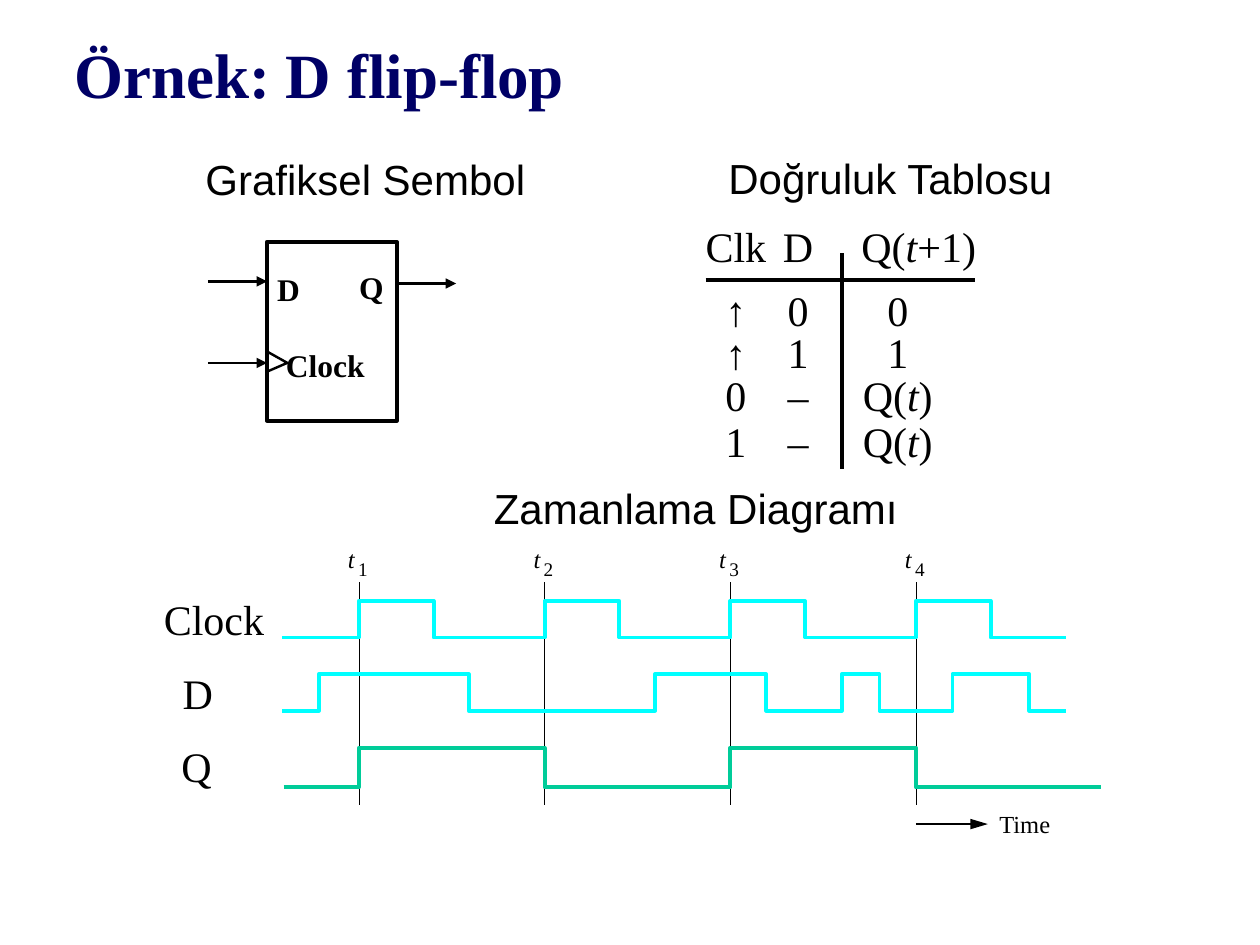
from dataclasses import dataclass

import pptx
import pptx.dml.color
import pptx.enum.shapes
import pptx.enum.text
import pptx.oxml.ns
import pptx.util
from lxml import etree

Pt = pptx.util.Pt
SERIF, SANS = "Times New Roman", "Arial"
COLORS = {"black": "000000", "white": "FFFFFF", "navy": "000066",
          "cyan": "00FFFF", "green": "00CC99"}


@dataclass
class Label:
    text: str
    x: float
    y: float
    w: float
    h: float = 28.8
    size: float = 24
    font: str = SERIF
    color: str = "black"
    bold: bool = False
    italic: str = ""


@dataclass
class Line:
    x1: float
    y1: float
    x2: float
    y2: float
    width: float = 1.5
    arrow: bool = False
    arrow_len: str = "med"


@dataclass
class Wave:
    start: float
    end: float
    low: float
    high: float
    edges: list[float]
    color: str


def rgb(name: str) -> pptx.dml.color.RGBColor:
    return pptx.dml.color.RGBColor.from_string(COLORS[name])


def add_text(p, text: str, *, size: float = 24, font: str = SERIF,
             color: str = "black", bold: bool = False, italic: str = "") -> None:
    """Write text into a paragraph; the part given as italic is slanted."""
    parts = text.partition(italic) if italic else (text,)
    for part in filter(None, parts):
        r = p.add_run()
        r.text = part
        r.font.size, r.font.name = Pt(size), font
        r.font.bold, r.font.italic = bold, part == italic
        r.font.color.rgb = rgb(color)


def draw_label(s, item: Label) -> None:
    sp = s.shapes.add_textbox(Pt(item.x), Pt(item.y), Pt(item.w), Pt(item.h))
    tf = sp.text_frame
    tf.word_wrap = False
    tf.margin_left = tf.margin_right = tf.margin_top = tf.margin_bottom = 0
    add_text(tf.paragraphs[0], item.text, size=item.size, font=item.font,
             color=item.color, bold=item.bold, italic=item.italic)


def draw_line(s, item: Line) -> None:
    sp = s.shapes.add_connector(
        pptx.enum.shapes.MSO_CONNECTOR.STRAIGHT,
        Pt(item.x1), Pt(item.y1), Pt(item.x2), Pt(item.y2))
    sp.line.color.rgb, sp.line.width = rgb("black"), Pt(item.width)
    if item.arrow:
        etree.SubElement(sp.line._get_or_add_ln(), pptx.oxml.ns.qn("a:tailEnd"),
                         type="triangle", w="med", len=item.arrow_len)
    etree.SubElement(sp._element.spPr, pptx.oxml.ns.qn("a:effectLst"))


def draw_path(s, points: list[tuple[float, float]], color: str, width: float) -> None:
    pts = [(Pt(x), Pt(y)) for x, y in points]
    builder = s.shapes.build_freeform(*pts[0])
    builder.add_line_segments(pts[1:], close=False)
    sp = builder.convert_to_shape()
    sp.shadow.inherit = False
    sp.fill.background()
    sp.line.color.rgb, sp.line.width = rgb(color), Pt(width)


def draw_wave(s, wave: Wave) -> None:
    """Start low and change level at every edge."""
    levels = (wave.low, wave.high)
    points = [(wave.start, wave.low)]
    for i, x in enumerate(wave.edges):
        points += [(x, levels[i % 2]), (x, levels[(i + 1) % 2])]
    points.append((wave.end, wave.low))
    draw_path(s, points, wave.color, 2.25)


def draw_truth_table(s) -> None:
    rows = [("Clk", "D", "Q(t+1)"), ("↑", "0", "0"), ("↑", "1", "1"),
            ("0", "–", "Q(t)"), ("1", "–", "Q(t)")]
    widths, heights = (49, 36, 80), (36.5, 24.5, 24.5, 26, 26)
    table = s.shapes.add_table(len(rows), len(widths), Pt(396), Pt(131),
                               Pt(sum(widths)), Pt(sum(heights))).table
    table.first_row = table.horz_banding = False
    for col, width in zip(table.columns, widths):
        col.width = Pt(width)
    for i, (values, height) in enumerate(zip(rows, heights)):
        table.rows[i].height = Pt(height)
        for j, value in enumerate(values):
            cell = table.cell(i, j)
            cell.fill.background()
            cell.margin_top = cell.margin_bottom = 0
            cell.margin_left = Pt(8 if (i, j) == (0, 2) else 0)
            cell.margin_right = Pt((0, 14, 16 if i else 0)[j])
            p = cell.text_frame.paragraphs[0]
            p.alignment = pptx.enum.text.PP_ALIGN.CENTER
            p.line_spacing = Pt(24)
            add_text(p, value, font=SANS if value == "↑" else SERIF, italic="t")
    draw_line(s, Line(403.2, 159.8, 557.3, 159.8, 2.25))
    draw_line(s, Line(481, 144.7, 481, 267.8, 2.25))


def draw_symbol(s) -> None:
    left, right = 152.6, 226.8
    sp = s.shapes.add_shape(pptx.enum.shapes.MSO_SHAPE.RECTANGLE,
                            Pt(left), Pt(138.2), Pt(right - left), Pt(102.2))
    sp.shadow.inherit = False
    sp.fill.solid()
    sp.fill.fore_color.rgb = rgb("white")
    sp.line.color.rgb, sp.line.width = rgb("black"), Pt(2.25)
    # Clock notch, inputs and output
    draw_path(s, [(left, 212.4), (164.2, 207.4), (left, 200.9)], "black", 1.39)
    for x1, x2, y in ((118.8, left, 207.4), (118.8, left, 160.8), (right, 260.6, 162)):
        draw_line(s, Line(x1, y, x2, y, arrow=True))
    for text, x, y, w in (("D", 158.4, 154.1, 18), ("Q", 205.2, 153.4, 18.7),
                          ("Clock", 163.4, 198, 53.3)):
        draw_label(s, Label(text, x, y, w, 21.6, 18, bold=True))


def draw_timing(s) -> None:
    instants = [205.1 + 106.1 * i for i in range(4)]
    for i, x in enumerate(instants, 1):
        draw_line(s, Line(x, 332.6, x, 460.1, 0.25))
        draw_label(s, Label("t", x - 6.3, 311, 8.6, 16.6, 14, italic="t"))
        draw_label(s, Label(str(i), x - 0.5, 318.2, 9.4, 13, 11))

    clock_edges = [edge for x in instants for edge in (x, x + 42.7)]
    d_edges = [182.2, 267.8, 374.4, 437.8, 481, 502.6, 544.3, 588.2]
    for wave in (Wave(161.3, 609.1, 364.3, 343.4, clock_edges, "cyan"),
                 Wave(161.3, 609.1, 406.1, 385.2, d_edges, "cyan"),
                 Wave(162, 629.3, 450, 427.3, instants, "green")):
        draw_wave(s, wave)

    # Signal names and time axis
    for item in (Label("Clock", 93.6, 339.1, 66.2), Label("D", 104.4, 381.6, 23.8),
                 Label("Q", 103.7, 423.4, 25.2),
                 Label("Time", 571, 462.2, 32.4, 16.6, 14)):
        draw_label(s, item)
    draw_line(s, Line(523.4, 470.9, 564.5, 470.9, 1.39, True, "lg"))


def main() -> None:
    prs = pptx.Presentation()
    prs.slide_width, prs.slide_height = Pt(720), Pt(540)
    s = prs.slides.add_slide(prs.slide_layouts[6])

    # Title and section headings
    for item in (
        Label("Örnek: D flip-flop", 42.5, 20.2, 280, 43.2, 36, color="navy", bold=True),
        Label("Grafiksel Sembol", 117.4, 87.8, 182.9, font=SANS),
        Label("Doğruluk Tablosu", 416.2, 87.1, 187.9, font=SANS),
        Label("Zamanlama Diagramı", 282.2, 275.8, 231.1, font=SANS),
    ):
        draw_label(s, item)

    draw_symbol(s)
    draw_truth_table(s)
    draw_timing(s)
    prs.save("out.pptx")


if __name__ == "__main__":
    main()
